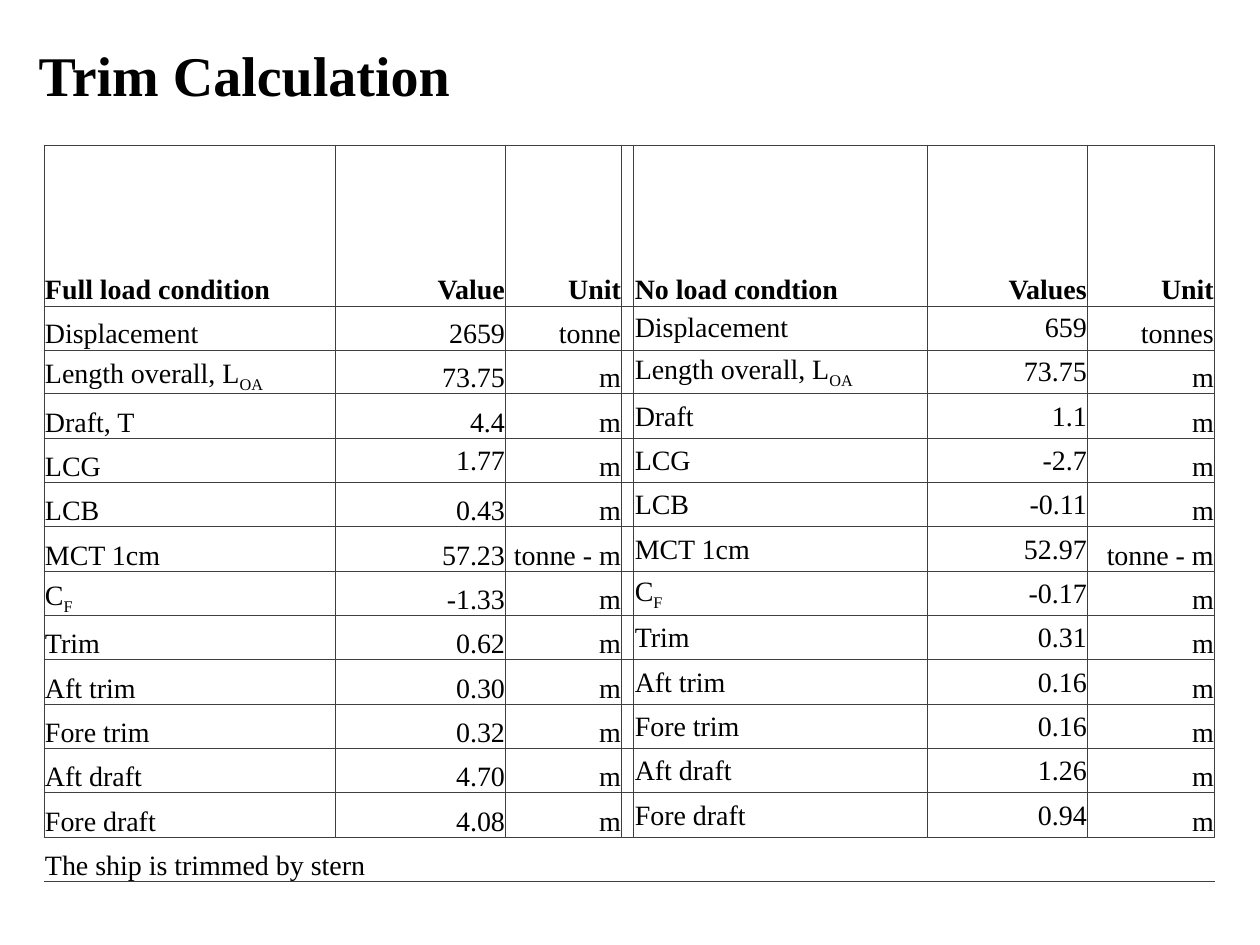
from lxml.etree import SubElement
from pptx import Presentation
from pptx.dml.color import RGBColor
from pptx.enum.text import MSO_ANCHOR as Anchor, PP_ALIGN as Align
from pptx.oxml.ns import qn
from pptx.util import Emu, Pt

PX = 914400 // 126
BLACK = RGBColor(0x00, 0x00, 0x00)
WHITE = RGBColor(0xFF, 0xFF, 0xFF)
GRID = RGBColor(0x3F, 0x3F, 0x3F)
FONT = "Times New Roman"
NO_STYLE = "{2D5ABB26-0587-4C30-8999-92F81FD0307C}"

LEFT, TOP, HEADER_BOTTOM, DATA_BOTTOM = 44, 145, 306, 838
COLUMN_WIDTHS = [244, 47, 111, 60, 116, 12, 294, 160, 127]
TEXT_COLUMNS = [0, 2, 4, 6, 7, 8]
NAME_COLUMNS = [0, 6]
MIDDLE_COLUMNS = [6, 7]
ROWS = [
    ("Full load condition", "Value", "Unit", "No load condtion", "Values", "Unit"),
    ("Displacement", "2659", "tonne", "Displacement", "659", "tonnes"),
    ("Length overall, L_OA", "73.75", "m", "Length overall, L_OA", "73.75", "m"),
    ("Draft, T", "4.4", "m", "Draft", "1.1", "m"),
    ("LCG", "1.77", "m", "LCG", "-2.7", "m"),
    ("LCB", "0.43", "m", "LCB", "-0.11", "m"),
    ("MCT 1cm", "57.23", "tonne - m", "MCT 1cm", "52.97", "tonne - m"),
    ("C_F", "-1.33", "m", "C_F", "-0.17", "m"),
    ("Trim", "0.62", "m", "Trim", "0.31", "m"),
    ("Aft trim", "0.30", "m", "Aft trim", "0.16", "m"),
    ("Fore trim", "0.32", "m", "Fore trim", "0.16", "m"),
    ("Aft draft", "4.70", "m", "Aft draft", "1.26", "m"),
    ("Fore draft", "4.08", "m", "Fore draft", "0.94", "m"),
]


def write(frame, text, size=16, bold=False, align=Align.LEFT):
    paragraph = frame.paragraphs[0]
    paragraph.alignment = align
    for index, part in enumerate(text.split("_")):
        run = paragraph.add_run()
        run.text = part
        run.font.name = FONT
        run.font.size = Pt(size)
        run.font.bold = bold
        run.font.color.rgb = BLACK
        if index:
            run._r.get_or_add_rPr().set("baseline", "-25000")


def draw_borders(cell, sides):
    properties = cell._tc.get_or_add_tcPr()
    for side in sides:
        line = SubElement(properties, qn(f"a:ln{side}"), w=str(Pt(0.5)))
        fill = SubElement(line, qn("a:solidFill"))
        SubElement(fill, qn("a:srgbClr"), val=str(GRID))


presentation = Presentation()
presentation.slide_width = Emu(1260 * PX)
presentation.slide_height = Emu(945 * PX)
slide = presentation.slides.add_slide(presentation.slide_layouts[6])

title = slide.shapes.add_textbox(-301 * PX, 21 * PX, 1091 * PX, 107 * PX)
title.text_frame.word_wrap = True
title.text_frame.vertical_anchor = Anchor.MIDDLE
write(title.text_frame, "Trim Calculation", size=32, bold=True, align=Align.CENTER)

data_count = len(ROWS) - 1
row_edges = [HEADER_BOTTOM + (DATA_BOTTOM - HEADER_BOTTOM) * i // data_count
             for i in range(data_count + 1)]
row_edges = [TOP] + row_edges + [DATA_BOTTOM + 44, DATA_BOTTOM + 79]
row_heights = [end - start for start, end in zip(row_edges, row_edges[1:])]

shape = slide.shapes.add_table(len(row_heights), len(COLUMN_WIDTHS), LEFT * PX, TOP * PX,
                               sum(COLUMN_WIDTHS) * PX, sum(row_heights) * PX)
table = shape.table
table.first_row = False
table.horz_banding = False
table._tbl.tblPr.find(qn("a:tableStyleId")).text = NO_STYLE
for column, width in zip(table.columns, COLUMN_WIDTHS):
    column.width = Emu(width * PX)
for row, height in zip(table.rows, row_heights):
    row.height = Emu(height * PX)

note_row = len(ROWS)
for row_index, row in enumerate(table.rows):
    for cell in row.cells:
        cell.margin_left = cell.margin_right = cell.margin_top = Emu(PX)
        cell.margin_bottom = 0
        cell.vertical_anchor = Anchor.BOTTOM
        if row_index < note_row:
            draw_borders(cell, "LRTB")
            cell.fill.solid()
            cell.fill.fore_color.rgb = WHITE
        elif row_index == note_row:
            draw_borders(cell, "T")

for row_index, texts in enumerate(ROWS):
    for first in (0, 2):
        table.cell(row_index, first).merge(table.cell(row_index, first + 1))
    for column_index, text in zip(TEXT_COLUMNS, texts):
        cell = table.cell(row_index, column_index)
        if (row_index and column_index in MIDDLE_COLUMNS) or text == "1.77":
            cell.vertical_anchor = Anchor.MIDDLE
        write(cell.text_frame, text, bold=row_index == 0,
              align=Align.LEFT if column_index in NAME_COLUMNS else Align.RIGHT)

table.cell(note_row, 0).merge(table.cell(note_row, 4))
write(table.cell(note_row, 0).text_frame, "The ship is trimmed by stern")
for first in (1, 3):
    table.cell(note_row + 1, first).merge(table.cell(note_row + 1, first + 1))

presentation.save("out.pptx")
